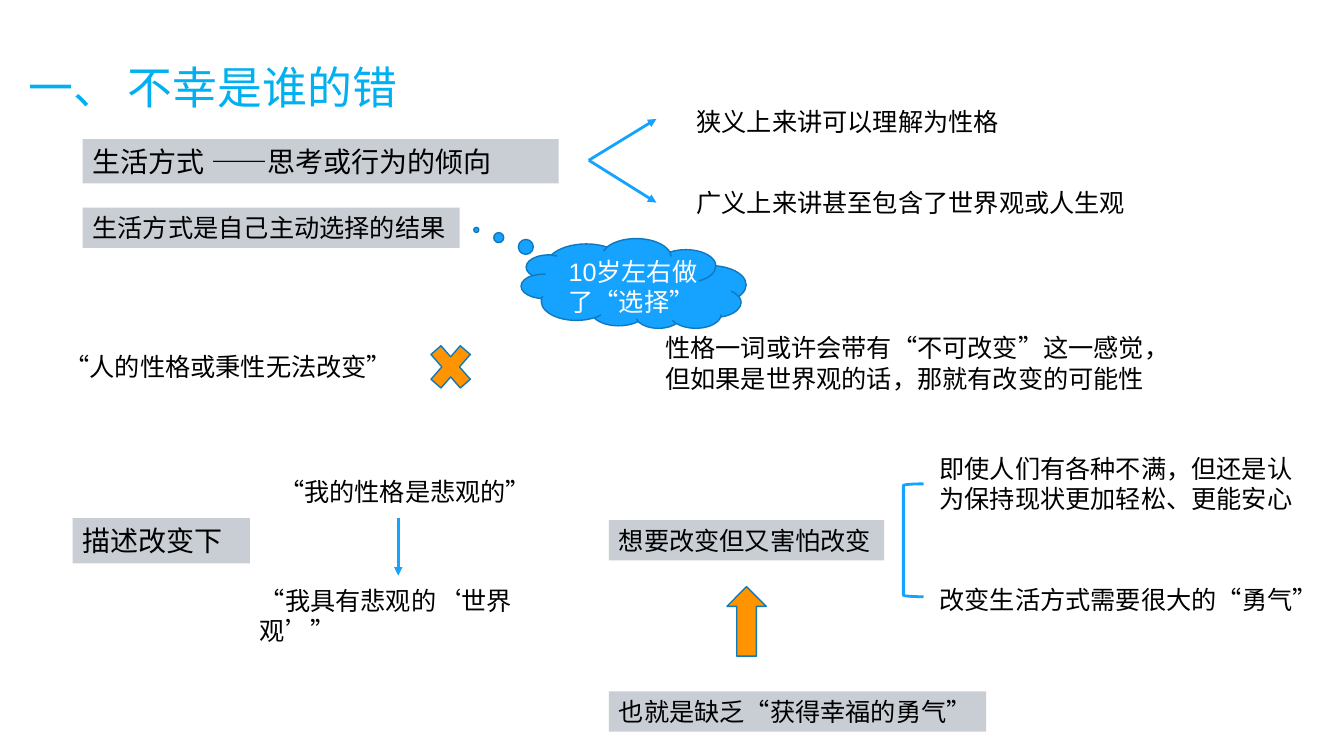
"""Build a slide on lifestyle, character and the courage to change."""
from lxml import etree
from pptx import Presentation
from pptx.dml.color import RGBColor
from pptx.enum.shapes import MSO_CONNECTOR, MSO_SHAPE
from pptx.enum.text import MSO_ANCHOR, MSO_AUTO_SIZE, PP_ALIGN
from pptx.oxml.ns import qn
from pptx.util import Inches, Pt

STRAIGHT = MSO_CONNECTOR.STRAIGHT
CROSS = MSO_SHAPE.MATH_MULTIPLY
CLOUD = MSO_SHAPE.CLOUD_CALLOUT
BRACKET = MSO_SHAPE.LEFT_BRACKET
ARROW = MSO_SHAPE.RIGHT_ARROW
GROW = MSO_AUTO_SIZE.SHAPE_TO_FIT_TEXT
TOP = MSO_ANCHOR.TOP
LEFT = PP_ALIGN.LEFT


def rgb(value):
    """Turn a hex string into a colour."""
    return RGBColor.from_string(value)


class Deck:
    """Hold the style and the current slide."""

    latin, cjk = "Arial", "Noto Sans CJK SC"
    black, white, title_blue = "000000", "FFFFFF", "00B0F0"
    grey, blue, edge, orange = "C9CED5", "16A2FF", "1078BD", "FF9400"

    def __init__(self, prs):
        """Add a title-only slide."""
        self.s = prs.slides.add_slide(prs.slide_layouts[5])

    def set_text(self, sp, text, size, color, font, wrap=True):
        """Put one left-aligned paragraph into a shape."""
        tf = sp.text_frame
        tf.word_wrap = wrap
        tf.auto_size = GROW
        tf.vertical_anchor = TOP
        p = tf.paragraphs[0]
        p.text = text
        p.alignment = LEFT
        p.font.size = Pt(size)
        p.font.name = font
        p.font.color.rgb = rgb(color)
        props = p._p.pPr.find(qn("a:defRPr"))
        etree.SubElement(props, qn("a:ea")).set("typeface", self.cjk)

    def title(self, text, x, y, w, h):
        """Fill the title placeholder."""
        sp = self.s.shapes.title
        sp.left, sp.top, sp.width, sp.height = map(Inches, (x, y, w, h))
        self.set_text(sp, text, 32, self.title_blue, self.latin)

    def text(self, text, x, y, w, h=0.4, size=18, color=black, font=latin, wrap=True):
        """Add a text box."""
        sp = self.s.shapes.add_textbox(*map(Inches, (x, y, w, h)))
        self.set_text(sp, text, size, color, font, wrap)
        return sp

    def label(self, text, x, y, w, h=0.4, size=18, font=latin):
        """Add a text box on a grey ground."""
        sp = self.text(text, x, y, w, h, size, font=font)
        sp.fill.solid()
        sp.fill.fore_color.rgb = rgb(self.grey)

    def shape(self, kind, x, y, w, h, fill=None, line=edge, width=1):
        """Add a preset shape."""
        sp = self.s.shapes.add_shape(kind, *map(Inches, (x, y, w, h)))
        sp.shadow.inherit = False
        if fill:
            sp.fill.solid()
            sp.fill.fore_color.rgb = rgb(fill)
        else:
            sp.fill.background()
        sp.line.color.rgb = rgb(line)
        sp.line.width = Pt(width)
        return sp

    def arrow(self, x1, y1, x2, y2):
        """Add a straight arrow."""
        c = self.s.shapes.add_connector(STRAIGHT, *map(Inches, (x1, y1, x2, y2)))
        c.line.color.rgb = rgb(self.blue)
        c.line.width = Pt(2)
        props = c._element.spPr
        etree.SubElement(props.find(qn("a:ln")), qn("a:tailEnd")).set("type", "triangle")
        etree.SubElement(props, qn("a:effectLst"))

    def thought(self, x, y, w, h):
        """Add a cloud whose bubbles rise to the upper left."""
        sp = self.shape(CLOUD, x, y, w, h, self.blue)
        sp.adjustments[0], sp.adjustments[1] = -0.7, 0.6
        sp._element.spPr.find(qn("a:xfrm")).set("flipV", "1")


def main():
    """Build and save the slide."""
    prs = Presentation()
    prs.slide_width, prs.slide_height = Inches(13.33), Inches(7.5)
    d = Deck(prs)

    d.title("一、 不幸是谁的错", 0.18, 0.54, 10.28, 0.64)
    d.label("生活方式 ——思考或行为的倾向", 0.82, 1.38, 4.72, 0.44, 20, d.cjk)
    for tip, y, w, sense in (
        (1.18, 1.01, 3.23, "狭义上来讲可以理解为性格"),
        (2.01, 1.81, 4.49, "广义上来讲甚至包含了世界观或人生观"),
    ):
        d.arrow(5.84, 1.59, 6.51, tip)
        d.text(sense, 6.81, y, w, wrap=False)

    d.label("生活方式是自己主动选择的结果", 0.82, 2.06, 3.74)
    d.thought(5.17, 2.37, 2.23, 0.89)
    d.text("10岁左右做了“选择”", 5.54, 2.49, 1.61, 0.71, color=d.white)

    d.text("“人的性格或秉性无法改变”", 0.54, 3.44, 3.48, wrap=False)
    d.shape(CROSS, 4.19, 3.32, 0.56, 0.64, d.orange)
    d.text("性格一词或许会带有“不可改变”这一感觉，但如果是世界观的话，那就有改变的可能性",
           6.5, 3.25, 5.43, 0.71)

    d.label("描述改变下", 0.72, 5.14, 1.76, 0.45, 20, d.cjk)
    d.text("“我的性格是悲观的”", 2.67, 4.68, 2.71)
    d.arrow(3.95, 5.14, 3.95, 5.71)
    d.text("“我具有悲观的‘世界观’”", 2.48, 5.76, 3.29)

    d.label("想要改变但又害怕改变", 6.04, 5.16, 2.73)
    d.shape(BRACKET, 8.96, 4.8, 0.2, 1.12, line=d.blue, width=2)
    d.text("即使人们有各种不满，但还是认为保持现状更加轻松、更能安心", 9.22, 4.45, 3.8, 0.71)
    d.text("改变生活方式需要很大的“勇气”", 9.22, 5.75, 3.99, wrap=False)
    d.shape(ARROW, 7.06, 5.97, 0.69, 0.39, d.orange).rotation = 270
    d.label("也就是缺乏“获得幸福的勇气”", 6.04, 6.86, 3.74)

    prs.save("out.pptx")


if __name__ == "__main__":
    main()
